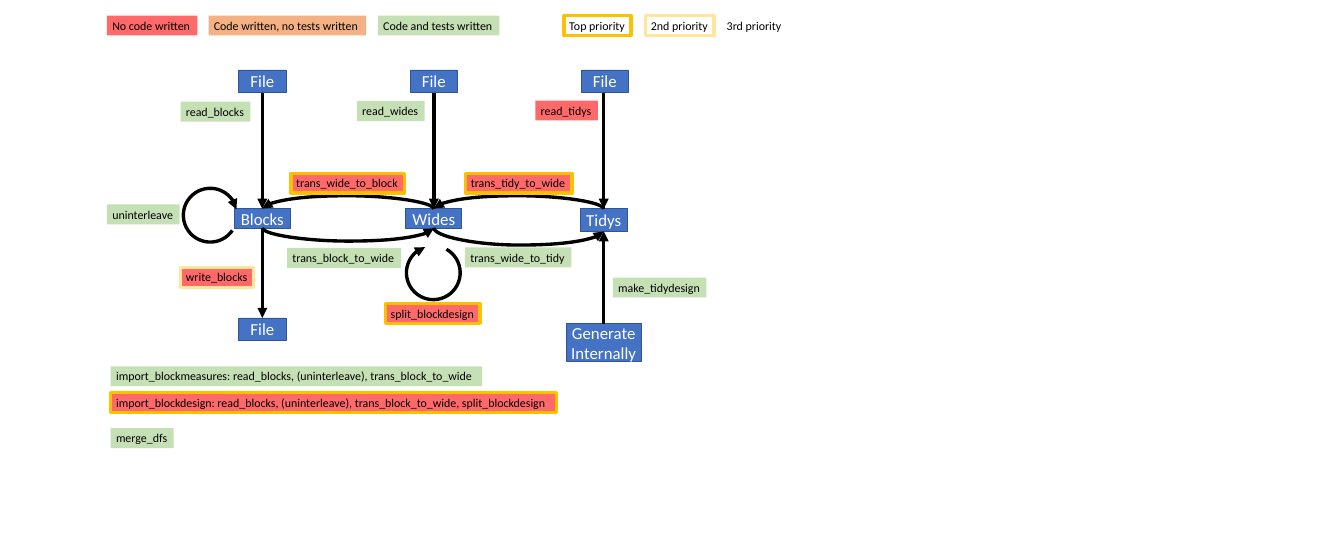
from pptx import Presentation
from pptx import util as u
from pptx.dml.color import RGBColor
from pptx.enum import shapes, text
from pptx.oxml.ns import qn
from lxml import etree

COLORS = {
    "stage": "4472C4", "stage_edge": "325491",
    "no_code": "FF6969", "untested": "F4B183", "tested": "C5E0B4",
    "top": "FFC000", "second": "FFE699",
    "white": "FFFFFF", "black": "000000",
}


def write(frame, wording, size, color):
    run = frame.paragraphs[0].add_run()
    run.text = wording
    run.font.name = "Calibri"
    run.font.size = u.Pt(size)
    run.font.color.rgb = RGBColor.from_string(COLORS[color])


def style_arrow(arrow):
    arrow.line.color.rgb = RGBColor.from_string(COLORS["black"])
    arrow.line.width = u.Pt(4.5)
    properties = arrow._element.spPr
    etree.SubElement(properties.find(qn("a:ln")), qn("a:tailEnd"), type="triangle")
    if properties.find(qn("a:effectLst")) is None:
        etree.SubElement(properties, qn("a:effectLst"))


deck = Presentation()
deck.slide_width, deck.slide_height = u.Inches(25), u.Inches(10)
slide = deck.slides.add_slide(deck.slide_layouts[6])

# Columns of the flow
blocks_x, wides_x, tidys_x = 4.88, 8.07, 11.23

# Data stages: wording, centre, top, width, height
stages = [
    ("Blocks", blocks_x, 3.88, 1.04, 0.37),
    ("Wides", wides_x, 3.88, 1.04, 0.36),
    ("Tidys", tidys_x, 3.88, 0.88, 0.42),
    ("File", blocks_x, 1.3, 0.88, 0.42),
    ("File", wides_x, 1.3, 0.88, 0.42),
    ("File", tidys_x + 0.02, 1.3, 0.88, 0.42),
    ("File", blocks_x, 5.91, 0.88, 0.42),
    ("Generate Internally", tidys_x, 6.02, 1.4, 0.7),
]
for wording, center, top, width, height in stages:
    stage = slide.shapes.add_shape(
        shapes.MSO_SHAPE.RECTANGLE, u.Inches(center - width / 2), u.Inches(top),
        u.Inches(width), u.Inches(height))
    stage.shadow.inherit = False
    stage.fill.solid()
    stage.fill.fore_color.rgb = RGBColor.from_string(COLORS["stage"])
    stage.line.color.rgb = RGBColor.from_string(COLORS["stage_edge"])
    stage.line.width = u.Pt(1)
    frame = stage.text_frame
    frame.margin_left = frame.margin_right = u.Inches(0.03)
    frame.margin_top = frame.margin_bottom = 0
    frame.word_wrap = True
    frame.vertical_anchor = text.MSO_ANCHOR.MIDDLE
    frame.paragraphs[0].alignment = text.PP_ALIGN.CENTER
    write(frame, wording, 22.5, "white")

# Reading, writing and generating: column, start, end
for x, start, end in [
    (blocks_x, 1.73, 3.88), (wides_x, 1.73, 3.88), (tidys_x, 1.73, 3.88),
    (blocks_x, 4.25, 5.91), (tidys_x, 6.02, 4.3),
]:
    flow = slide.shapes.add_connector(
        shapes.MSO_CONNECTOR.STRAIGHT,
        u.Inches(x), u.Inches(start), u.Inches(x), u.Inches(end))
    style_arrow(flow)

# Transformations: a thin upright curve turned by 270 degrees
# start column, end column, height of the ends, drop between them, bulge
for start, end, y, drop, bulge in [
    (wides_x, tidys_x, 4.27, 0.07, 0.32),
    (blocks_x, wides_x, 4.24, 0.01, 0.25),
    (wides_x, blocks_x, 3.88, 0.01, 0.25),
    (tidys_x, wides_x, 3.88, 0.01, 0.25),
]:
    middle, reach = (start + end) / 2, (end - start) / 2
    side = drop / 2 if reach > 0 else -drop / 2
    transform = slide.shapes.add_connector(
        shapes.MSO_CONNECTOR.CURVE,
        u.Inches(middle + side), u.Inches(y - reach),
        u.Inches(middle - side), u.Inches(y + reach))
    properties = transform._element.spPr
    properties.find(qn("a:xfrm")).set("rot", str(270 * 60000))
    guides = properties.find(qn("a:prstGeom")).get_or_add_avLst()
    etree.SubElement(guides, qn("a:gd"), name="adj1",
                     fmla=f"val {round(bulge / drop * 100000)}")
    style_arrow(transform)

# Loops that stay within one stage
for left, top, turn in [(3.41, 3.5, 138.3), (7.56, 4.57, 43)]:
    loop = slide.shapes.add_shape(
        shapes.MSO_SHAPE.ARC, u.Inches(left), u.Inches(top), u.Inches(1), u.Inches(1))
    loop.adjustments[0], loop.adjustments[1] = 153.75, 125.51
    loop.rotation = turn
    loop.shadow.inherit = False
    loop.fill.background()
    style_arrow(loop)

# Legend and function labels: wording, left, top, width, status, priority
labels = [
    ("No code written", 1.99, 0.29, 1.68, "no_code", None),
    ("Code written, no tests written", 3.88, 0.29, 2.93, "untested", None),
    ("Code and tests written", 7.03, 0.29, 2.26, "tested", None),
    ("Top priority", 10.49, 0.29, 1.25, "white", "top"),
    ("2nd priority", 12.01, 0.29, 1.27, "white", "second"),
    ("3rd priority", 13.42, 0.29, 1.23, "white", "white"),
    ("read_blocks", 3.36, 1.89, 1.3, "tested", None),
    ("read_wides", 6.64, 1.88, 1.26, "tested", None),
    ("read_tidys", 9.96, 1.87, 1.16, "no_code", None),
    ("trans_wide_to_block", 5.41, 3.22, 2.12, "no_code", "top"),
    ("trans_tidy_to_wide", 8.66, 3.22, 1.98, "no_code", "top"),
    ("trans_block_to_wide", 5.34, 4.61, 2.12, "tested", None),
    ("trans_wide_to_tidy", 8.65, 4.6, 1.98, "tested", None),
    ("uninterleave", 1.99, 3.8, 1.35, "tested", None),
    ("write_blocks", 3.36, 4.97, 1.36, "no_code", "second"),
    ("split_blockdesign", 7.17, 5.64, 1.76, "no_code", "top"),
    ("make_tidydesign", 11.4, 5.16, 1.74, "tested", None),
    ("import_blockmeasures: read_blocks, (uninterleave), trans_block_to_wide",
     2.06, 6.81, 6.91, "tested", None),
    ("import_blockdesign: read_blocks, (uninterleave), trans_block_to_wide, "
     "split_blockdesign", 2.06, 7.3, 8.29, "no_code", "top"),
    ("merge_dfs", 2.06, 7.96, 1.17, "tested", None),
]
for wording, left, top, width, status, priority in labels:
    label = slide.shapes.add_textbox(
        u.Inches(left), u.Inches(top), u.Inches(width), u.Inches(0.37))
    label.fill.solid()
    label.fill.fore_color.rgb = RGBColor.from_string(COLORS[status])
    if priority:
        label.line.color.rgb = RGBColor.from_string(COLORS[priority])
        label.line.width = u.Pt(4.5)
    label.text_frame.word_wrap = False
    label.text_frame.auto_size = text.MSO_AUTO_SIZE.SHAPE_TO_FIT_TEXT
    write(label.text_frame, wording, 16, "black")

deck.save("out.pptx")
